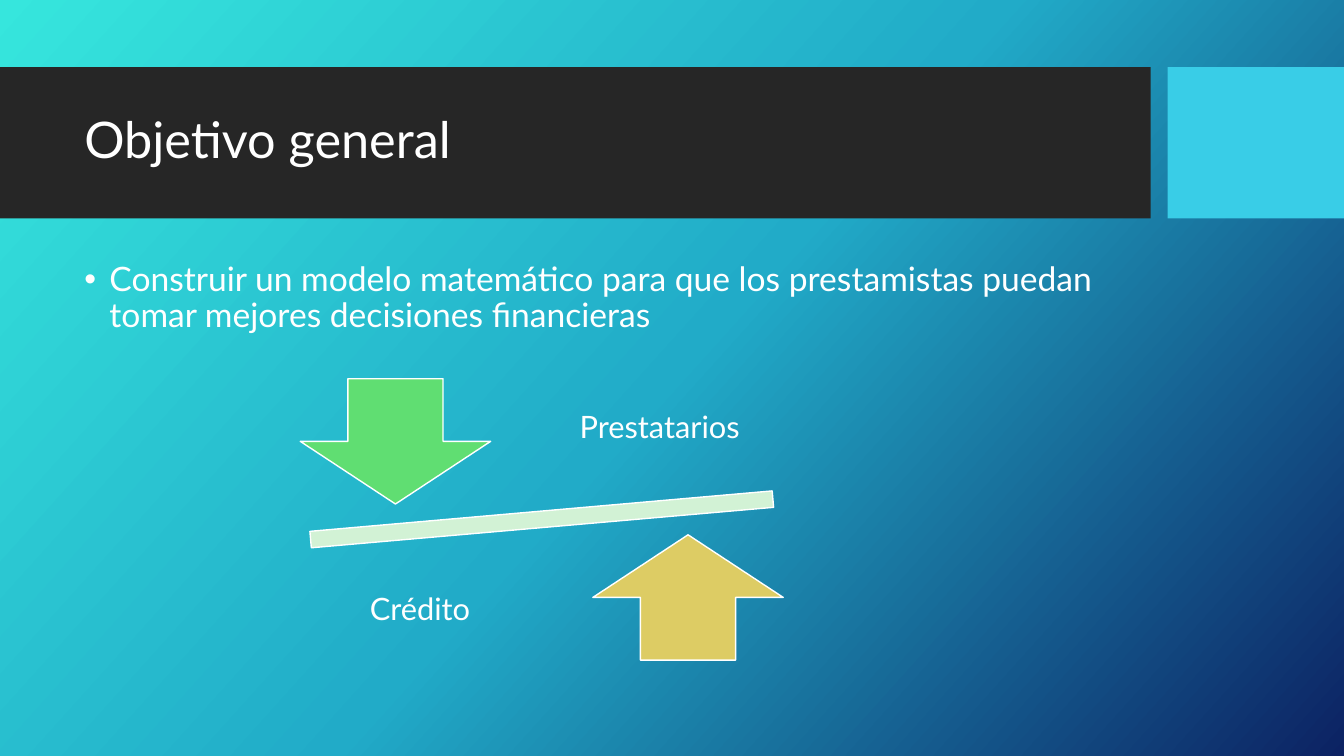
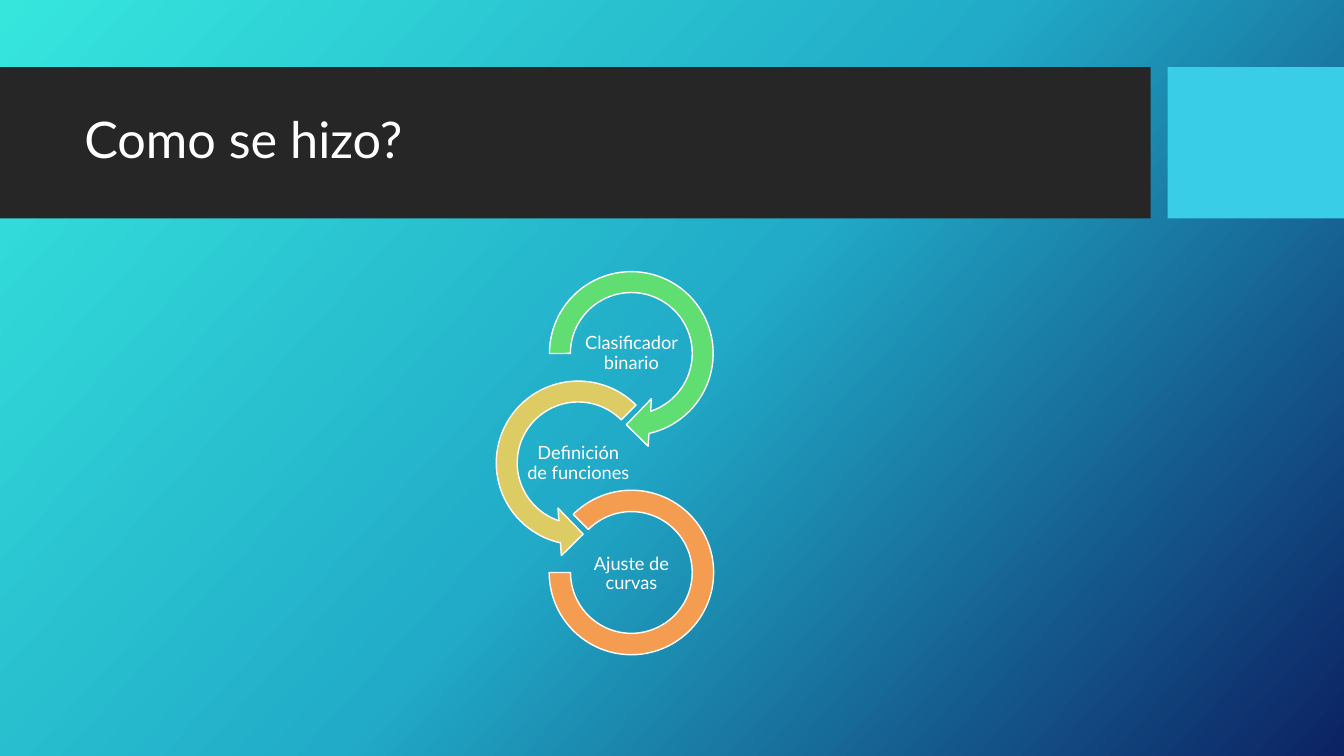
from lxml.etree import SubElement
from pptx import Presentation
from pptx.dml.color import RGBColor
from pptx.enum.shapes import MSO_SHAPE
from pptx.enum.text import MSO_ANCHOR, MSO_AUTO_SIZE, PP_ALIGN
from pptx.oxml.ns import qn
from pptx.util import Pt

FONT = "Lato"
WHITE, DARK, CYAN = "FFFFFF", "262626", "39CDE7"
GREEN, PALE_GREEN, YELLOW, ORANGE = "60DE72", "D2F2D5", "DDCC64", "F49D50"
BACKGROUND_STOPS = [(0, "36E6DD"), (50, "21ABC8"), (100, "0C2263")]
BACKGROUND_ANGLE = 42

SLIDE_WIDTH, SLIDE_HEIGHT = 960, 540
BAND_TOP, BAND_HEIGHT = 48, 108
TITLE_BOX = (53, 59, 757, 85)
BODY_BOX = (53, 184, 757, 284)
BALANCE_BOX = (161.5, 259, 451, 224)
CHAIN_BOX = (345, 184.5, 174, 292.5)


def color(hex_text):
    return RGBColor.from_string(hex_text)


def place(shape, box):
    shape.left, shape.top, shape.width, shape.height = [Pt(value) for value in box]


def add_shape(slide, kind, box, fill, outlined=True, adjustments=()):
    shape = slide.shapes.add_shape(kind, *[Pt(value) for value in box])
    shape.shadow.inherit = False
    shape.fill.solid()
    shape.fill.fore_color.rgb = color(fill)
    if outlined:
        shape.line.color.rgb = color(WHITE)
        shape.line.width = Pt(1)
    else:
        shape.line.fill.background()
    for index, value in enumerate(adjustments):
        shape.adjustments[index] = value
    return shape


def write(shape, text, size, alignment=PP_ALIGN.LEFT, anchor=MSO_ANCHOR.MIDDLE):
    frame = shape.text_frame
    frame.word_wrap = True
    frame.auto_size = MSO_AUTO_SIZE.NONE
    frame.vertical_anchor = anchor
    paragraph = frame.paragraphs[0]
    paragraph.alignment = alignment
    paragraph.line_spacing = 0.9
    paragraph.space_before = Pt(0)
    run = paragraph.add_run()
    run.text = text
    run.font.name = FONT
    run.font.size = Pt(size)
    run.font.color.rgb = color(WHITE)
    return paragraph


def add_label(slide, box, text, size, inset):
    label = slide.shapes.add_textbox(*[Pt(value) for value in box])
    frame = label.text_frame
    frame.margin_left = frame.margin_right = Pt(inset)
    frame.margin_top = frame.margin_bottom = Pt(inset)
    write(label, text, size, PP_ALIGN.CENTER)


# Shared look: gradient background and title bands on the master
def style_master(presentation, slide):
    master = presentation.slide_master
    fill = master.background.fill
    fill.gradient()
    fill.gradient_angle = 360 - BACKGROUND_ANGLE
    stops = next(master.background.element.iter(qn("a:gsLst")))
    for stop in list(stops):
        stops.remove(stop)
    for position, hex_text in BACKGROUND_STOPS:
        stop = SubElement(stops, qn("a:gs"), pos=str(position * 1000))
        SubElement(stop, qn("a:srgbClr"), val=hex_text)

    for left, width, hex_text in [(0, 822, DARK), (834, 126, CYAN)]:
        band = add_shape(slide, MSO_SHAPE.RECTANGLE,
                         (left, BAND_TOP, width, BAND_HEIGHT), hex_text, False)
        master.shapes.element.insert(2, band.element)


def add_title(slide, text):
    place(slide.shapes.title, TITLE_BOX)
    write(slide.shapes.title, text, 36)


def add_bullet(slide, box, text):
    body = slide.placeholders[1]
    place(body, box)
    paragraph = write(body, text, 24, anchor=MSO_ANCHOR.TOP)
    paragraph.space_before = Pt(10)
    properties = paragraph._p.get_or_add_pPr()
    properties.set("marL", str(Pt(18)))
    properties.set("indent", str(-Pt(18)))


# Tilted beam; the lower arrow and label mirror the upper ones through the centre
def add_balance(slide, box, upper_text, lower_text):
    left, top, width, height = box
    beam_height = 50
    beam = add_shape(slide, MSO_SHAPE.MATH_MINUS,
                     (left, top + (height - beam_height) / 2, width, beam_height),
                     PALE_GREEN)
    beam.rotation = 355

    def position(x, y, part_width, part_height, mirrored):
        if mirrored:
            x, y = width - x - part_width, height - y - part_height
        return left + x, top + y, part_width, part_height

    sides = [(MSO_SHAPE.DOWN_ARROW, GREEN, upper_text, False),
             (MSO_SHAPE.UP_ARROW, YELLOW, lower_text, True)]
    for kind, fill, text, mirrored in sides:
        add_shape(slide, kind, position(53, 11.5, 136, 89.5, mirrored), fill)
        add_label(slide, position(240, 0, 145, 94, mirrored), text, 22, 12)


# Chain of rings, alternating right and left
def add_chain(slide, box, texts):
    left, top, width, _ = box
    ring_size, arc_size = 136, 117.5
    label_width, label_height = 76, 38
    ring_step, label_step = 78.2, 78.8
    rings = [
        (MSO_SHAPE.CIRCULAR_ARROW, GREEN, ring_size, (0.11, 11.42, 45, 108, 1 / 8)),
        (MSO_SHAPE.LEFT_CIRCULAR_ARROW, YELLOW, ring_size, (0.11, 11.42, 63, 189, 1 / 8)),
        (MSO_SHAPE.BLOCK_ARC, ORANGE, arc_size, (135, 108, 0.13)),
    ]
    for index, ((kind, fill, size, adjustments), text) in enumerate(zip(rings, texts)):
        center_x = left + (ring_size / 2 if index % 2 else width - ring_size / 2)
        first_y = top + ring_size / 2
        center_y = first_y + index * ring_step
        add_shape(slide, kind, (center_x - size / 2, center_y - size / 2, size, size),
                  fill, adjustments=adjustments)
        label_y = first_y + index * label_step
        add_label(slide, (center_x - label_width / 2, label_y - label_height / 2,
                          label_width, label_height), text, 13, 0.5)


def build_goal(slide):
    add_title(slide, "Objetivo general")
    add_bullet(slide, BODY_BOX, "Construir un modelo matemático para que los prestamistas "
                                "puedan tomar mejores decisiones financieras")
    add_balance(slide, BALANCE_BOX, "Prestatarios ", "Crédito")


def build_method(slide):
    add_title(slide, "Como se hizo?")
    add_chain(slide, CHAIN_BOX,
              ["Clasificador binario", "Definición de funciones", "Ajuste de curvas"])


def main():
    presentation = Presentation()
    presentation.slide_width = Pt(SLIDE_WIDTH)
    presentation.slide_height = Pt(SLIDE_HEIGHT)
    content_layout = presentation.slide_layouts[1]
    title_layout = presentation.slide_layouts[5]

    goal = presentation.slides.add_slide(content_layout)
    style_master(presentation, goal)
    build_goal(goal)
    build_method(presentation.slides.add_slide(title_layout))
    presentation.save("out.pptx")


if __name__ == "__main__":
    main()
